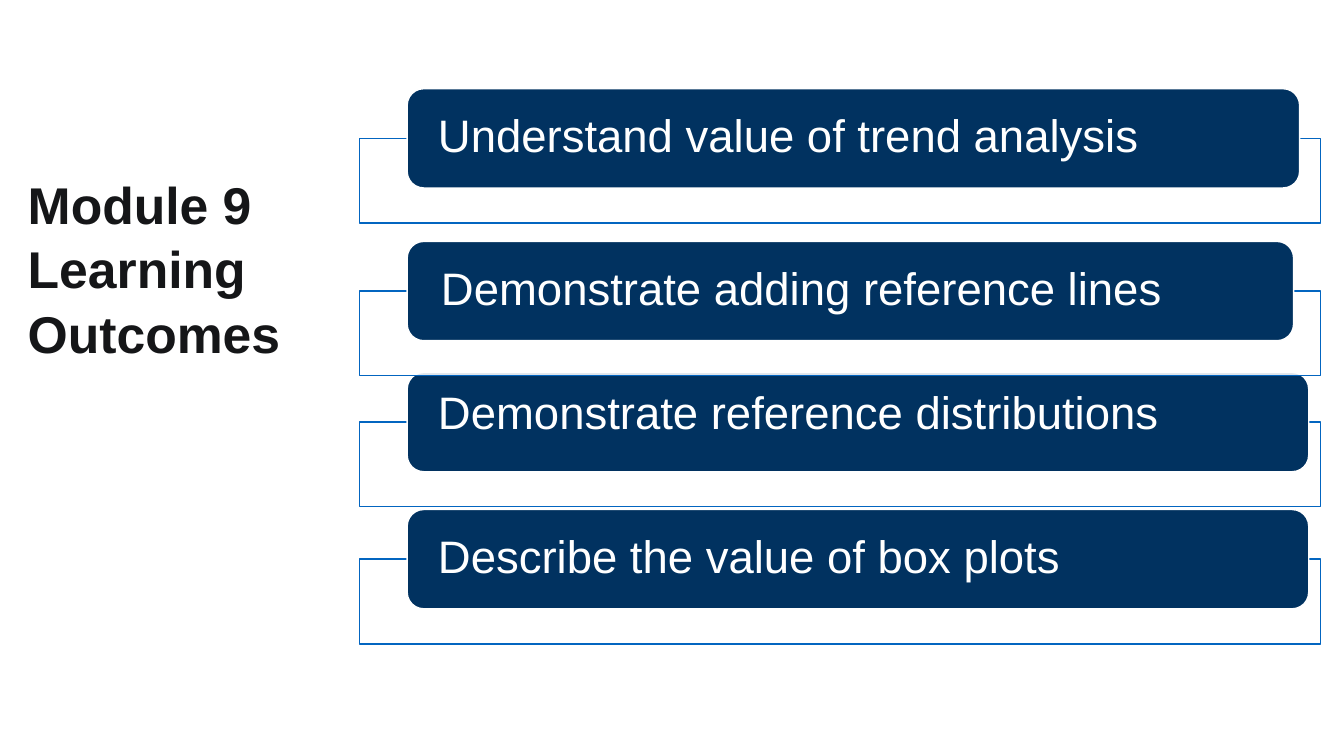
"""Build the Module 9 learning outcomes slide."""
from lxml.etree import SubElement
from pptx import Presentation
from pptx.dml.color import RGBColor
from pptx.enum.shapes import MSO_SHAPE as Shape
from pptx.enum.text import MSO_ANCHOR as Anchor, MSO_AUTO_SIZE as AutoSize, PP_ALIGN as Align
from pptx.oxml.ns import qn
from pptx.util import Inches, Pt

TITLE = "Module 9 Learning Outcomes"
GROUPS = [
    [{"text": "Demonstrate reference distributions", "top": 7.39, "width": 17.89, "inset": (0.61, 0.35)}],
    [{"text": "Describe the value of box plots", "top": 10.11, "width": 17.89, "inset": (0.61, 0.48)}],
    [
        {"text": "Understand value of trend analysis", "top": 1.76, "width": 17.71, "inset": (0.61, 0.48)},
        {"text": "Demonstrate adding reference lines", "top": 4.79, "width": 17.59, "inset": (0.67, 0.49)},
    ],
]
COLORS = {"navy": "013260", "blue": "0365C0", "white": "FFFFFF", "ink": "151618"}
FONT = "Arial"
SLIDE = (26.67, 15)
FRAME_LEFT, FRAME_WIDTH, FRAME_HEIGHT = 7.13, 19.08, 1.68
BAR_LEFT, BAR_HEIGHT = 8.08, 1.97
LABEL_MARGIN, LABEL_HEIGHT = 1.2, 0.98


def color(name):
    return RGBColor.from_string(COLORS[name])


def inches(*lengths):
    return [Inches(length) for length in lengths]


def set_text(box, text, size, name, margin, spacing, bold=False):
    frame = box.text_frame
    frame.text = text
    frame.word_wrap = True
    frame.vertical_anchor = Anchor.MIDDLE
    frame.margin_left = frame.margin_right = Inches(margin)
    frame.margin_top = frame.margin_bottom = Inches(margin)
    para = frame.paragraphs[0]
    para.alignment = Align.LEFT
    para.line_spacing = spacing
    font = para.runs[0].font
    font.name, font.size, font.bold = FONT, Pt(size), bold
    font.color.rgb = color(name)
    return frame


def add_block(shapes, kind, place, fill, line):
    block = shapes.add_shape(kind, *inches(*place))
    block.shadow.inherit = False
    block.fill.solid()
    block.fill.fore_color.rgb = color(fill)
    block.line.color.rgb = color(line)
    block.line.width = Pt(2)
    return block


def add_outcome(shapes, text, top, width, inset):
    middle = top + BAR_HEIGHT / 2
    frame = add_block(shapes, Shape.RECTANGLE, (FRAME_LEFT, middle, FRAME_WIDTH, FRAME_HEIGHT), "white", "blue")
    fill_color = frame.fill._xPr.find(qn("a:solidFill"))[0]
    SubElement(fill_color, qn("a:alpha"), val="87000")
    bar = add_block(shapes, Shape.ROUNDED_RECTANGLE, (BAR_LEFT, top, width, BAR_HEIGHT), "navy", "white")
    bar.adjustments[0] = 0.167
    across, down = inset
    label = shapes.add_textbox(*inches(BAR_LEFT + across, top + down, width - LABEL_MARGIN, LABEL_HEIGHT))
    set_text(label, text, 65, "white", 0, 0.9).auto_size = AutoSize.SHAPE_TO_FIT_TEXT


def main():
    deck = Presentation()
    deck.slide_width, deck.slide_height = inches(*SLIDE)
    page = deck.slides.add_slide(deck.slide_layouts[5])
    title = page.shapes.title
    title.left, title.top, title.width, title.height = inches(0.45, 3.22, 6.21, 4.15)
    set_text(title, TITLE, 73.8, "ink", 0.1, 1.04, True).auto_size = AutoSize.NONE
    for outcomes in GROUPS:
        group = page.shapes.add_group_shape()
        for outcome in outcomes:
            add_outcome(group.shapes, **outcome)
    deck.save("out.pptx")


if __name__ == "__main__":
    main()
